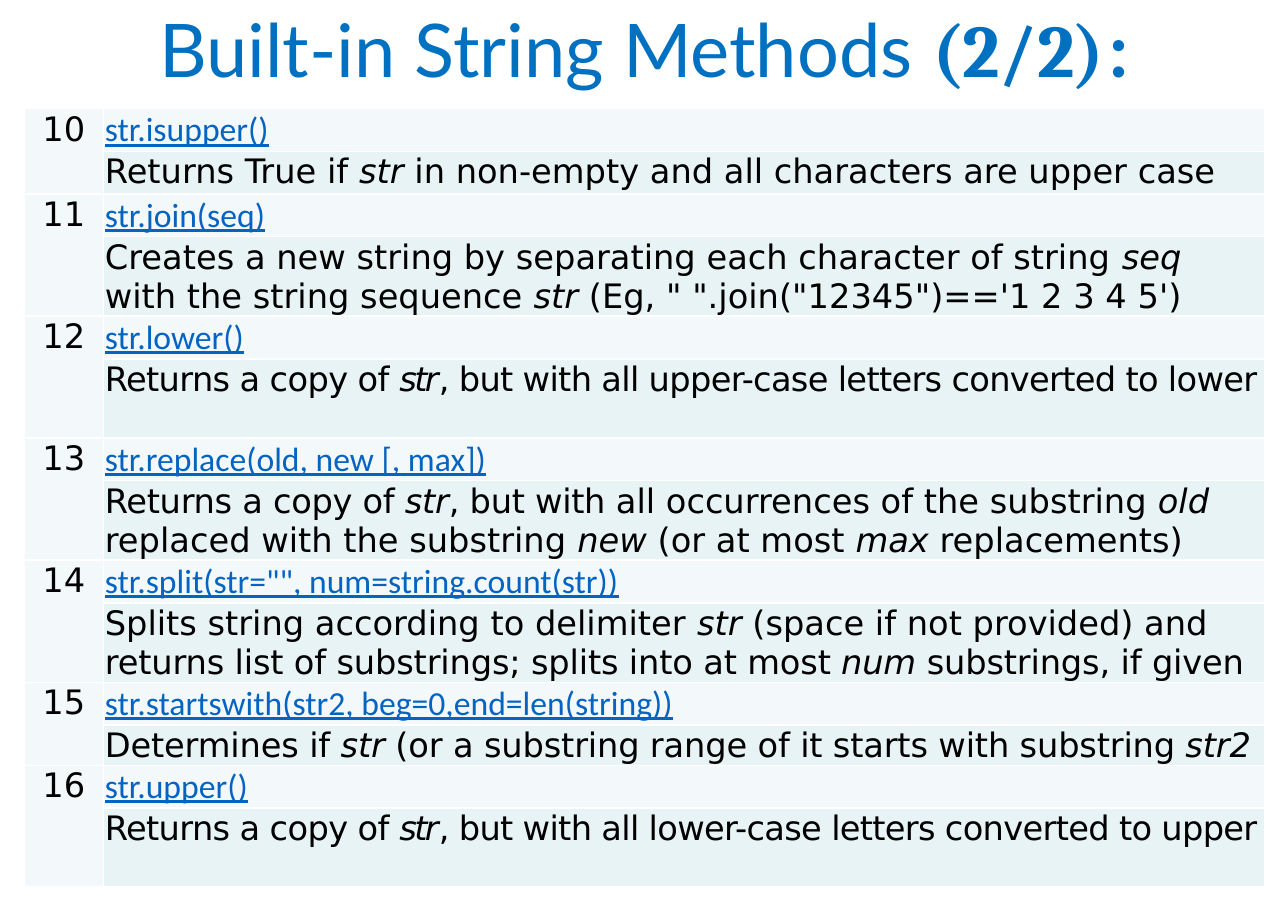
from dataclasses import dataclass

from lxml.etree import SubElement
from pptx import Presentation
from pptx.dml.color import RGBColor as RGB
from pptx.enum.text import MSO_ANCHOR as Anchor, PP_ALIGN as Align
from pptx.oxml.ns import qn
from pptx.util import Pt


@dataclass(frozen=True)
class Theme:
    title: str = "0070C0"
    link: str = "0563C1"
    text: str = "000000"
    border: str = "FFFFFF"
    head_fill: str = "F3F9FA"
    body_fill: str = "E7F3F4"
    title_size: float = 44
    gap_size: float = 12
    cell_size: float = 20
    title_font: str = "Lato"
    page_font: str = "Cambria"
    link_font: str = "Calibri"
    body_font: str = "DejaVu Sans"


T = Theme()
HEAD_H, ONE_LINE, TWO_LINES = 25.4, 25.4, 47


def plain(text, spacing=0):
    return text, False, spacing


def ital(text, spacing=0):
    return text, True, spacing


def case_copy(source, target):
    return [plain("Returns a copy of ", -0.4), ital("str", -1.5),
            plain(f", but with all {source}-case letters converted to {target}", -0.43)]


METHODS = [
    ("str.isupper()", ONE_LINE, [
        plain("Returns True if "), ital("str"),
        plain(" in non-empty and all characters are upper case")]),
    ("str.join(seq)", TWO_LINES, [
        plain("Creates a new string by separating each character of string "),
        ital("seq"), plain(" with the string sequence "), ital("str "),
        plain("(Eg, \" \".join(\"12345\")=='1 2 3 4 5')")]),
    ("str.lower()", TWO_LINES, case_copy("upper", "lower")),
    ("str.replace(old, new [, max])", TWO_LINES, [
        plain("Returns a copy of ", -0.2), ital("str", -0.2), plain(", but with ", -0.2),
        plain("all occurrences of the substring "), ital("old"),
        plain(" replaced with the substring "), ital("new"),
        plain(" (or at most "), ital("max"), plain(" replacements)")]),
    ('str.split(str="", num=string.count(str))', TWO_LINES, [
        plain("Splits string according to delimiter "), ital("str"),
        plain(" (space if not provided) and "),
        plain("returns list of substrings; splits into at most ", -0.1),
        ital("num ", -0.1), plain("substrings, if given", -0.1)]),
    ("str.startswith(str2, beg=0,end=len(string))", 24, [
        plain("Determines if ", -0.1), ital("str", -0.1),
        plain(" (or a substring range of it starts with substring ", -0.1),
        ital("str2", -0.1)]),
    ("str.upper()", TWO_LINES, case_copy("lower", "upper")),
]


def add_run(p, text, font, size, color, bold=False, italic=False, underline=False, spacing=0):
    r = p.add_run()
    r.text = text
    f = r.font
    f.name, f.size, f.color.rgb = font, Pt(size), RGB.from_string(color)
    f.bold, f.italic, f.underline = bold, italic, underline
    if spacing:
        r._r.get_or_add_rPr().set("spc", str(round(spacing * 100)))


def style_cell(cell, fill, side):
    cell.margin_left = cell.margin_right = Pt(side)
    cell.margin_top, cell.margin_bottom = Pt(0.7), Pt(0)
    cell.vertical_anchor = Anchor.TOP
    tcPr = cell._tc.get_or_add_tcPr()
    for edge in ("a:lnL", "a:lnR", "a:lnT", "a:lnB"):
        ln = SubElement(tcPr, qn(edge), w=str(Pt(1)))
        SubElement(SubElement(ln, qn("a:solidFill")), qn("a:srgbClr"), val=T.border)
    cell.fill.solid()
    cell.fill.fore_color.rgb = RGB.from_string(fill)


def add_title(s, x, y, w, h):
    tf = s.shapes.add_textbox(Pt(x), Pt(y), Pt(w), Pt(h)).text_frame
    tf.word_wrap = True
    tf.vertical_anchor = Anchor.MIDDLE
    p = tf.paragraphs[0]
    p.alignment, p.line_spacing = Align.CENTER, 0.9
    add_run(p, "Built-in String Methods ", T.title_font, T.title_size, T.title)
    add_run(p, "(2/2)", T.page_font, T.title_size, T.title, bold=True)
    add_run(p, " ", T.page_font, T.gap_size, T.title, bold=True)
    add_run(p, ":", T.title_font, T.title_size, T.title, bold=True)


def add_methods(s, x, y, w, number_w, first):
    heights = [h for _, body_h, _ in METHODS for h in (HEAD_H, body_h)]
    table = s.shapes.add_table(len(heights), 2, Pt(x), Pt(y), Pt(w), Pt(sum(heights))).table
    table.first_row = table.horz_banding = False
    table.columns[0].width, table.columns[1].width = Pt(number_w), Pt(w - number_w)
    for row, h in zip(table.rows, heights):
        row.height = Pt(h)
    for i, (name, _, runs) in enumerate(METHODS):
        top = 2 * i
        number, head, body = table.cell(top, 0), table.cell(top, 1), table.cell(top + 1, 1)
        number.merge(table.cell(top + 1, 0))
        style_cell(number, T.head_fill, 0)
        style_cell(table.cell(top + 1, 0), T.head_fill, 0)
        style_cell(head, T.head_fill, 0.7)
        style_cell(body, T.body_fill, 0.7)
        p = number.text_frame.paragraphs[0]
        p.alignment = Align.CENTER
        add_run(p, str(first + i), T.body_font, T.cell_size, T.text)
        add_run(head.text_frame.paragraphs[0], name, T.link_font, T.cell_size, T.link,
                underline=True)
        for text, italic, spacing in runs:
            add_run(body.text_frame.paragraphs[0], text, T.body_font, T.cell_size, T.text,
                    italic=italic, spacing=spacing)


def main():
    prs = Presentation()
    prs.slide_width, prs.slide_height = Pt(766), Pt(540)
    s = prs.slides.add_slide(prs.slide_layouts[6])
    add_methods(s, 14.2, 64.6, 738, 47.5, first=10)
    add_title(s, 5, 0, 756, 63.4)
    prs.save("out.pptx")


if __name__ == "__main__":
    main()
